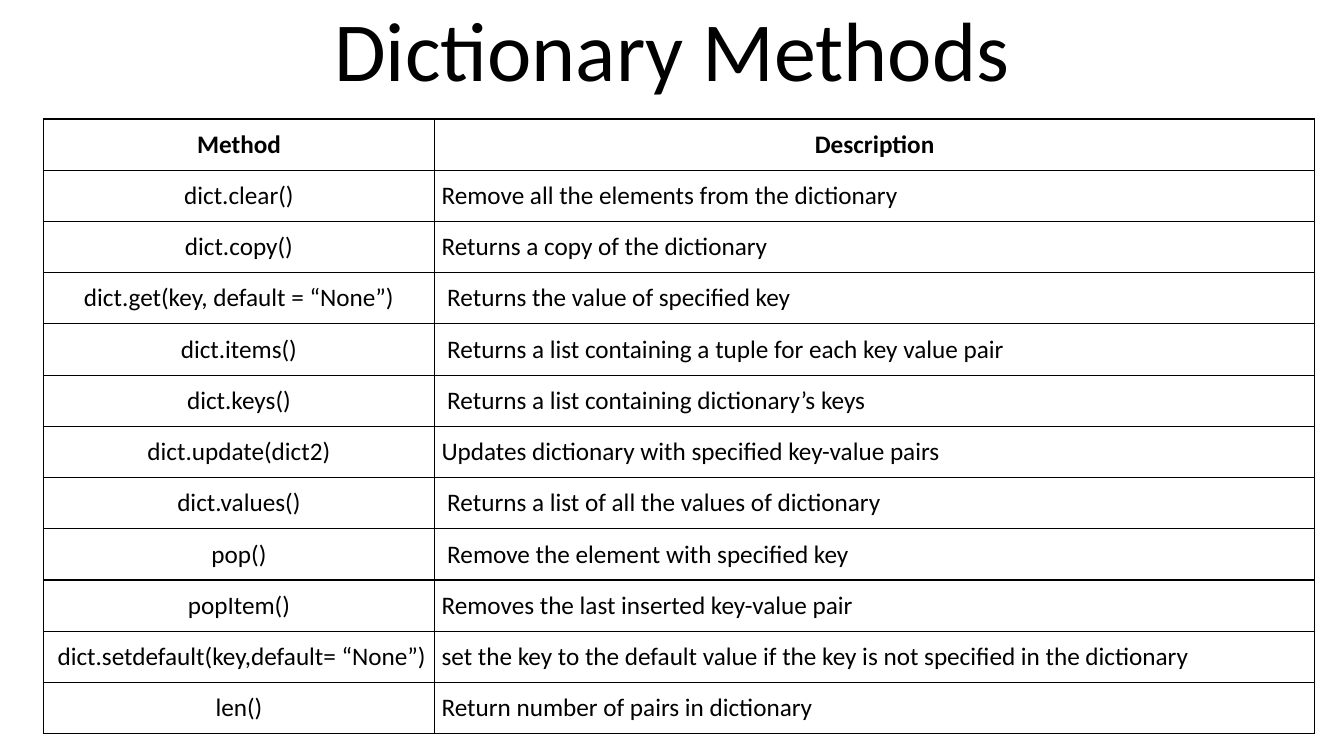
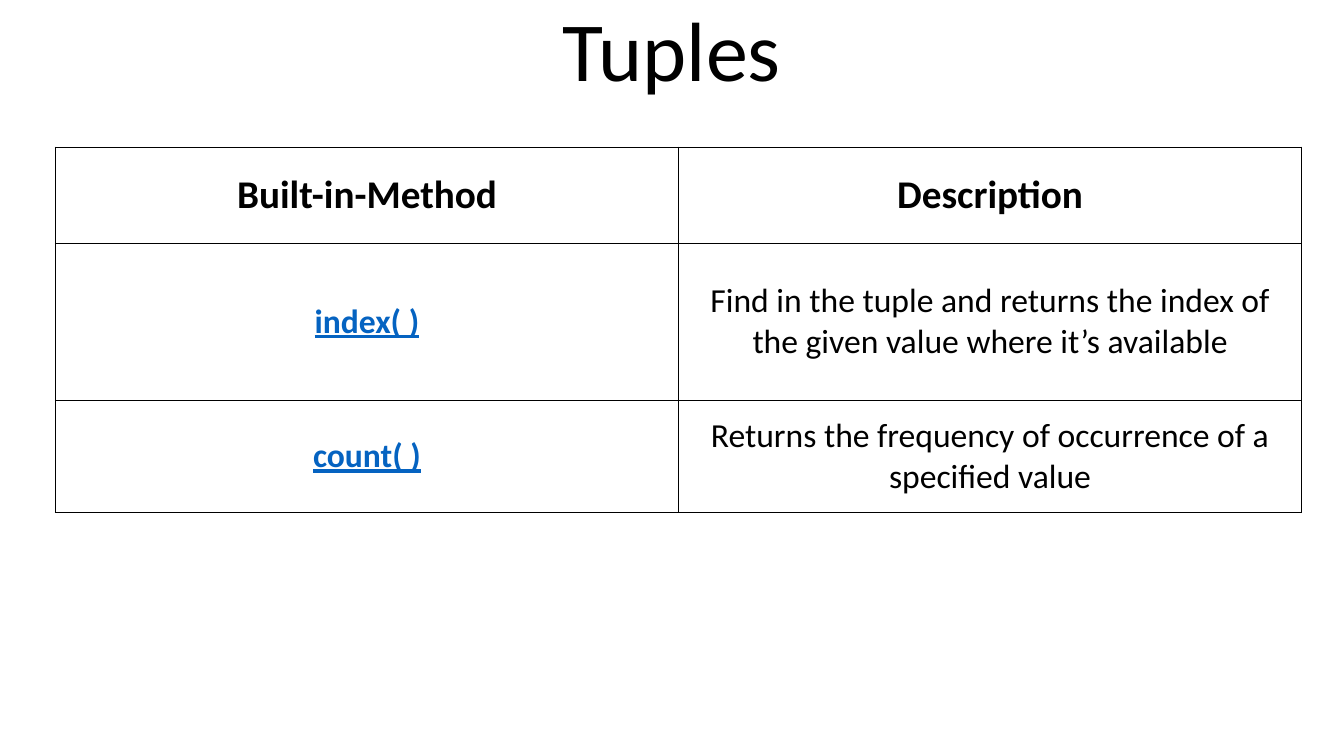
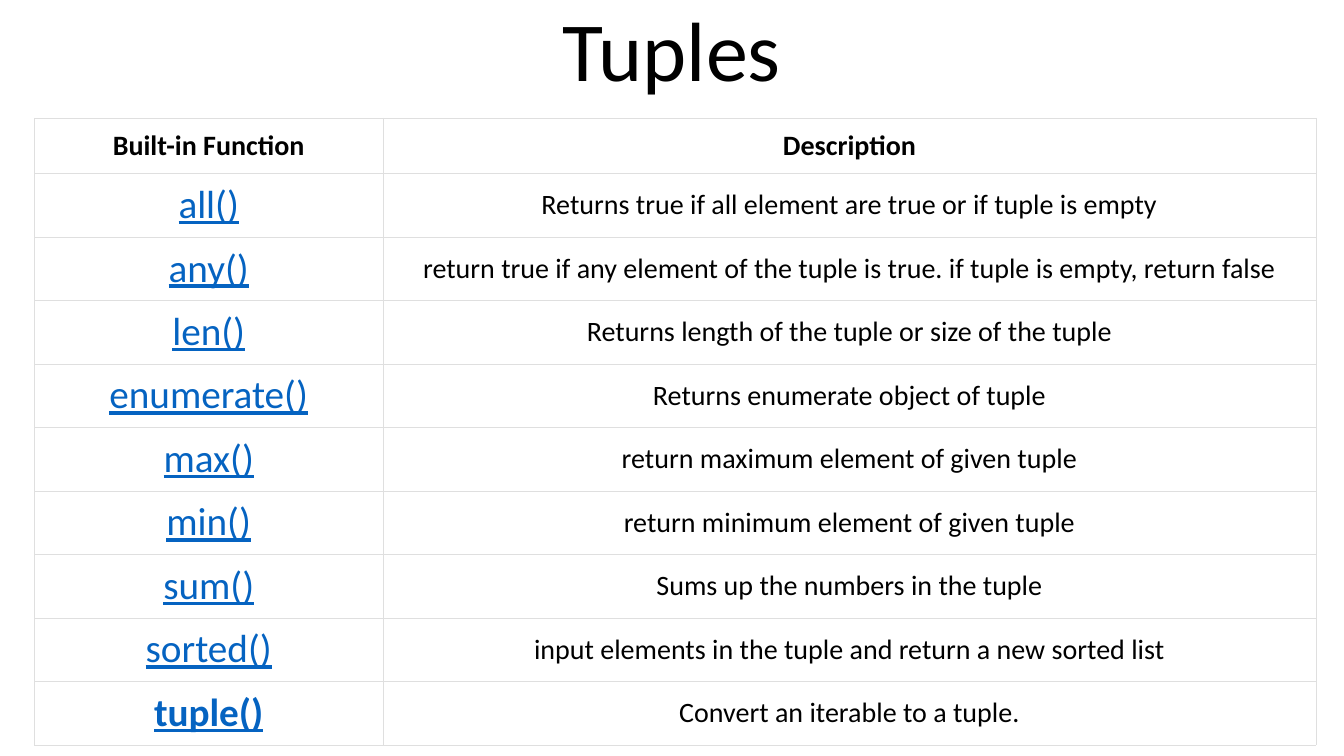
import lxml.etree
import pptx
import pptx.dml.color
import pptx.enum.text
import pptx.oxml.ns
import pptx.util

Inches = pptx.util.Inches
Pt = pptx.util.Pt
PP_ALIGN = pptx.enum.text.PP_ALIGN
MSO_ANCHOR = pptx.enum.text.MSO_ANCHOR

BLACK = pptx.dml.color.RGBColor(0x00, 0x00, 0x00)
WHITE = pptx.dml.color.RGBColor(0xFF, 0xFF, 0xFF)
LINK = pptx.dml.color.RGBColor(0x05, 0x63, 0xC1)
GREY = pptx.dml.color.RGBColor(0xDF, 0xDF, 0xDF)
FONT = "Calibri"
SLIDE_W, SLIDE_H, TITLE_H = 13.33, 7.5, 1.04

DICT_ROWS = [
    ("Method", "Description"),
    ("dict.clear()", "Remove all the elements from the dictionary"),
    ("dict.copy()", "Returns a copy of the dictionary"),
    ("dict.get(key, default = “None”)", " Returns the value of specified key"),
    ("dict.items()", " Returns a list containing a tuple for each key value pair"),
    ("dict.keys()", " Returns a list containing dictionary’s keys"),
    ("dict.update(dict2)", "Updates dictionary with specified key-value pairs"),
    ("dict.values()", " Returns a list of all the values of dictionary"),
    ("pop()", " Remove the element with specified key"),
    ("popItem()", "Removes the last inserted key-value pair"),
    (" dict.setdefault(key,default= “None”)",
     "set the key to the default value if the key is not specified in the dictionary"),
    ("len()", "Return number of pairs in dictionary"),
]
TUPLE_METHODS = [
    ("Built-in-Method", "Description"),
    ("index( )", "Find in the tuple and returns the index of the given value where it’s available"),
    ("count( )", "Returns the frequency of occurrence of a specified value"),
]
TUPLE_FUNCTIONS = [
    ("Built-in Function", "Description"),
    ("all()", "Returns true if all element are true or if tuple is empty"),
    ("any()", "return true if any element of the tuple is true. if tuple is empty, return false"),
    ("len()", "Returns length of the tuple or size of the tuple"),
    ("enumerate()", "Returns enumerate object of tuple"),
    ("max()", "return maximum element of given tuple"),
    ("min()", "return minimum element of given tuple"),
    ("sum()", "Sums up the numbers in the tuple"),
    ("sorted()", "input elements in the tuple and return a new sorted list"),
    ("tuple()", "Convert an iterable to a tuple."),
]


def add_run(p, text, size, color=BLACK, bold=False, underline=False):
    """Add one formatted run to a paragraph."""
    r = p.add_run()
    r.text = text
    r.font.name, r.font.size = FONT, Pt(size)
    r.font.bold, r.font.underline = bold, underline
    r.font.color.rgb = color


def add_titled_slide(prs, title):
    """Add a slide with the shared title band and return it."""
    s = prs.slides.add_slide(prs.slide_layouts[5])
    sp = s.shapes.title
    sp.left, sp.top = Inches(0), Inches(0)
    sp.width, sp.height = Inches(SLIDE_W), Inches(TITLE_H)
    tf = sp.text_frame
    tf.word_wrap = True
    tf.auto_size = pptx.enum.text.MSO_AUTO_SIZE.NONE
    tf.vertical_anchor = MSO_ANCHOR.BOTTOM
    p = tf.paragraphs[0]
    p.alignment, p.line_spacing = PP_ALIGN.CENTER, 0.9
    add_run(p, title, 60)
    return s


def add_borders(cell, color, width):
    """Draw a solid line on all four sides of a cell."""
    tcPr = cell._tc.get_or_add_tcPr()
    qn = pptx.oxml.ns.qn
    for side in ("a:lnL", "a:lnR", "a:lnT", "a:lnB"):
        ln = lxml.etree.SubElement(tcPr, qn(side), w=str(Pt(width)))
        fill = lxml.etree.SubElement(ln, qn("a:solidFill"))
        lxml.etree.SubElement(fill, qn("a:srgbClr"), val=str(color))


def fill_cell(cell, text, margins, align, style, line):
    """Format one cell and write its text."""
    add_borders(cell, *line)
    cell.fill.solid()
    cell.fill.fore_color.rgb = WHITE
    cell.vertical_anchor = MSO_ANCHOR.MIDDLE
    side, end = margins
    cell.margin_left = cell.margin_right = Inches(side)
    cell.margin_top = cell.margin_bottom = Inches(end)
    p = cell.text_frame.paragraphs[0]
    p.alignment = align
    add_run(p, text, **style)


def add_grid(s, left, top, cols, heights, rows, line, cell_format):
    """Add a table whose cells are formatted by cell_format(row, column)."""
    frame = s.shapes.add_table(len(rows), len(cols), Inches(left), Inches(top),
                               Inches(sum(cols)), Inches(sum(heights)))
    table = frame.table
    table.first_row = table.horz_banding = False
    for column, width in zip(table.columns, cols):
        column.width = Inches(width)
    for row, height in zip(table.rows, heights):
        row.height = Inches(height)
    for i, texts in enumerate(rows):
        for j, text in enumerate(texts):
            fill_cell(table.cell(i, j), text, *cell_format(i, j), line)


def dict_format(i, j):
    """Give margins, alignment and text style in the dictionary table."""
    align = PP_ALIGN.LEFT if i and j else PP_ALIGN.CENTER
    return (0.07, 0.1), align, dict(size=18, bold=i == 0)


def method_format(i, j):
    """Give margins, alignment and text style in the tuple method table."""
    if i == 0:
        return (0.1 if j else 0.04, 0.1), PP_ALIGN.CENTER, dict(size=28, bold=True)
    style = dict(size=24) if j else dict(size=24, color=LINK, bold=True, underline=True)
    return (0.1, 0.15), PP_ALIGN.CENTER, style


def function_format(i, j):
    """Give margins, alignment and text style in the tuple function table."""
    if i == 0:
        return (0.1 if j else 0.04, 0.1), PP_ALIGN.CENTER, dict(size=20, bold=True)
    if j:
        return (0.1, 0.14), PP_ALIGN.CENTER, dict(size=20)
    last = i == len(TUPLE_FUNCTIONS) - 1
    return (0.04, 0.05), PP_ALIGN.CENTER, dict(size=28, color=LINK, bold=last, underline=True)


def main():
    """Build and save the three slides."""
    prs = pptx.Presentation()
    prs.slide_width, prs.slide_height = Inches(SLIDE_W), Inches(SLIDE_H)
    s = add_titled_slide(prs, "Dictionary Methods")
    add_grid(s, 0.43, 1.18, [3.88, 8.73], [6.1 / len(DICT_ROWS)] * len(DICT_ROWS),
             DICT_ROWS, (BLACK, 1), dict_format)
    s = add_titled_slide(prs, "Tuples")
    add_grid(s, 0.55, 1.46, [6.18, 6.18], [0.96, 1.55, 1.1],
             TUPLE_METHODS, (BLACK, 1), method_format)
    s = add_titled_slide(prs, "Tuples")
    add_grid(s, 0.34, 1.17, [3.46, 9.25], [0.55] + [0.63] * (len(TUPLE_FUNCTIONS) - 1),
             TUPLE_FUNCTIONS, (GREY, 0.23), function_format)
    prs.save("out.pptx")


if __name__ == "__main__":
    main()
